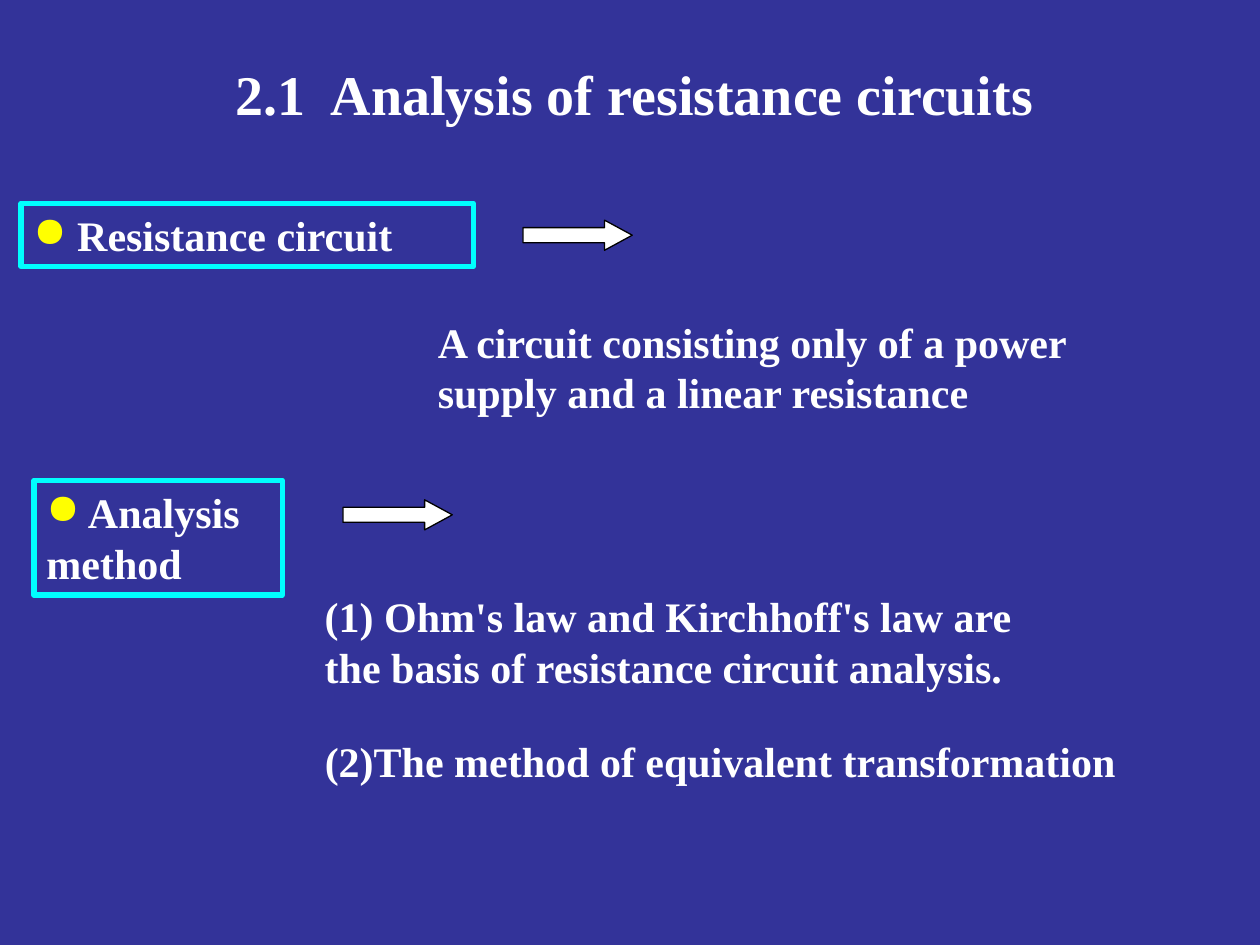
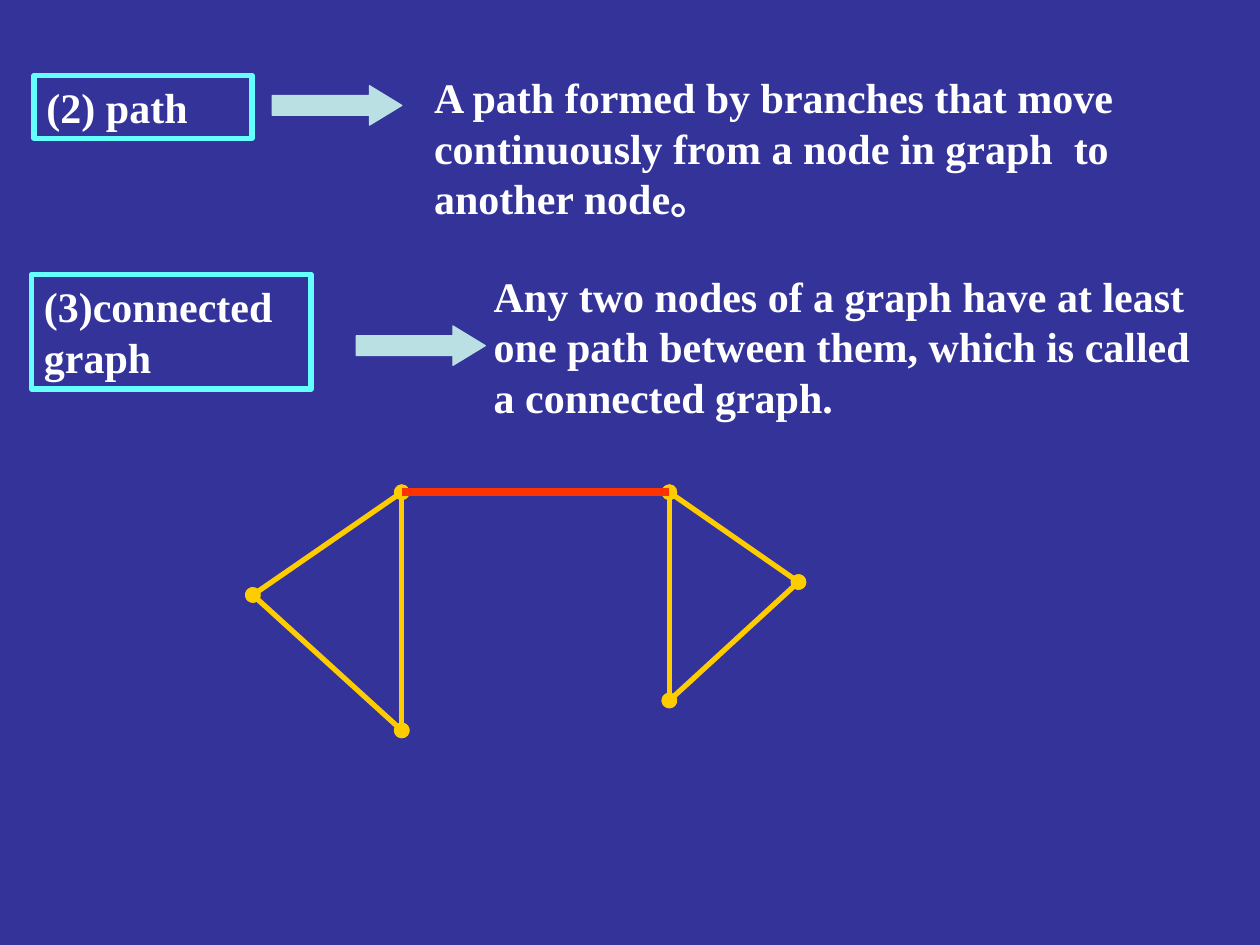
import pptx
import pptx.util
import pptx.dml.color
import pptx.enum.shapes
import pptx.enum.text
import pptx.oxml
import pptx.oxml.ns
from dataclasses import dataclass
from lxml import etree

Pt = pptx.util.Pt
RGB = pptx.dml.color.RGBColor.from_string
Kind = pptx.enum.shapes.MSO_SHAPE
qn = pptx.oxml.ns.qn


@dataclass
class Theme:
    font: str = "Times New Roman"
    head: int = 32
    body: int = 24
    back: str = "333399"
    text: str = "FFFFFF"
    dot: str = "FFFF00"
    edge: str = "FFCC00"
    link: str = "FF3300"


theme = Theme()


def write(shape, text, size=theme.body, bullet=False):
    """Fill a shape with bold, left-aligned text from its top edge."""
    frame = shape.text_frame
    frame.text = text
    frame.word_wrap = True
    frame.auto_size = pptx.enum.text.MSO_AUTO_SIZE.NONE
    frame.vertical_anchor = pptx.enum.text.MSO_ANCHOR.TOP
    for para in frame.paragraphs:
        para.alignment = pptx.enum.text.PP_ALIGN.LEFT
        if bullet:
            props = para._p.get_or_add_pPr()
            props.set("marL", "0")
            props.set("indent", "0")
            tint = etree.SubElement(props, qn("a:buClr"))
            etree.SubElement(tint, qn("a:srgbClr"), val=theme.dot)
            etree.SubElement(props, qn("a:buChar"), char="●")
        for run in para.runs:
            run.font.name = theme.font
            run.font.size = Pt(size)
            run.font.bold = True
            run.font.color.rgb = RGB(theme.text)


def outline(slide, kind, box, line, width, fill=None):
    """Add a preset shape with a plain line and an optional fill."""
    shape = slide.shapes.add_shape(kind, *map(Pt, box))
    shape.shadow.inherit = False
    shape.line.color.rgb = RGB(line)
    shape.line.width = Pt(width)
    if fill:
        shape.fill.solid()
        shape.fill.fore_color.rgb = RGB(fill)
    else:
        shape.fill.background()
    return shape


deck = pptx.Presentation()
deck.slide_width, deck.slide_height = Pt(720), Pt(540)
ground = deck.slide_master.background.fill
ground.solid()
ground.fore_color.rgb = RGB(theme.back)

intro = deck.slides.add_slide(deck.slide_layouts[5])
terms = deck.slides.add_slide(deck.slide_layouts[6])

title = intro.shapes.title
title.left, title.top, title.width, title.height = map(Pt, (127.5, 30.2, 472.3, 46))
write(title, "2.1  Analysis of resistance circuits", theme.head)

# Framed terms: slide, box, line colour, bullet, text
frames = [
    (intro, (12, 116.2, 258.5, 36), "00FFFF", True, " Resistance circuit"),
    (intro, (19.5, 274.5, 141.8, 65.5), "00FFFF", True, " Analysis method"),
    (terms, (19.5, 43, 124.5, 36), "66FFFF", False, "(2) path"),
    (terms, (18, 156.8, 159.8, 65.5), "66FFFF", False, "(3)connected\ngraph"),
]
for slide, box, line, bullet, text in frames:
    write(outline(slide, Kind.RECTANGLE, box, line, 3), text, bullet=bullet)

# Arrows: slide, box, head length, line colour, fill colour
arrows = [
    (intro, (298.8, 125.8, 62.5, 17.2), 0.92, "000000", "FFFFFF"),
    (intro, (196, 285.6, 62.5, 17.2), 0.92, "000000", "FFFFFF"),
    (terms, (155.6, 49, 74, 22.5), 0.82, "BBE0E3", "BBE0E3"),
    (terms, (203.6, 186.3, 73.7, 22.5), 0.82, "BBE0E3", "BBE0E3"),
]
for slide, box, tip, line, fill in arrows:
    arrow = outline(slide, Kind.RIGHT_ARROW, box, line, 0.75, fill)
    arrow.adjustments[0] = 0.5
    arrow.adjustments[1] = tip

notes = [
    (intro, (243.1, 177.3, 374.5, 65.5),
     "A circuit consisting only of a power supply and a linear resistance"),
    (intro, (178.5, 334, 427, 65.5),
     "(1) Ohm's law and Kirchhoff's law are the basis of resistance circuit analysis."),
    (intro, (178.5, 417, 481, 36), "(2)The method of equivalent transformation"),
    (terms, (241, 37.5, 462, 94.5),
     "A path formed by branches that move continuously from a node in graph  to another node。"),
    (terms, (275, 151, 428.5, 94.5),
     "Any two nodes of a graph have at least one path between them, which is called a connected graph."),
]
for slide, box, text in notes:
    write(slide.shapes.add_textbox(*map(Pt, box)), text)

# Two triangles joined by one link
nodes = {
    "A": (229.6, 281.3), "B": (144.5, 340), "C": (229.6, 417.4),
    "D": (382.5, 281.3), "E": (456.3, 332.6), "F": (382.5, 400.3),
}
for pair in ("AB", "BC", "AC", "DF", "DE", "EF", "AD"):
    start, stop = (nodes[name] for name in pair)
    link = pair == "AD"
    edge = terms.shapes.add_connector(
        pptx.enum.shapes.MSO_CONNECTOR.STRAIGHT, *map(Pt, start + stop))
    edge.line.color.rgb = RGB(theme.link if link else theme.edge)
    edge.line.width = Pt(4.5 if link else 3)
    if not link:
        for end in ("a:headEnd", "a:tailEnd"):
            etree.SubElement(edge.line._get_or_add_ln(), qn(end), type="oval")
    etree.SubElement(edge._element.spPr, qn("a:effectLst"))

deck.save("out.pptx")
